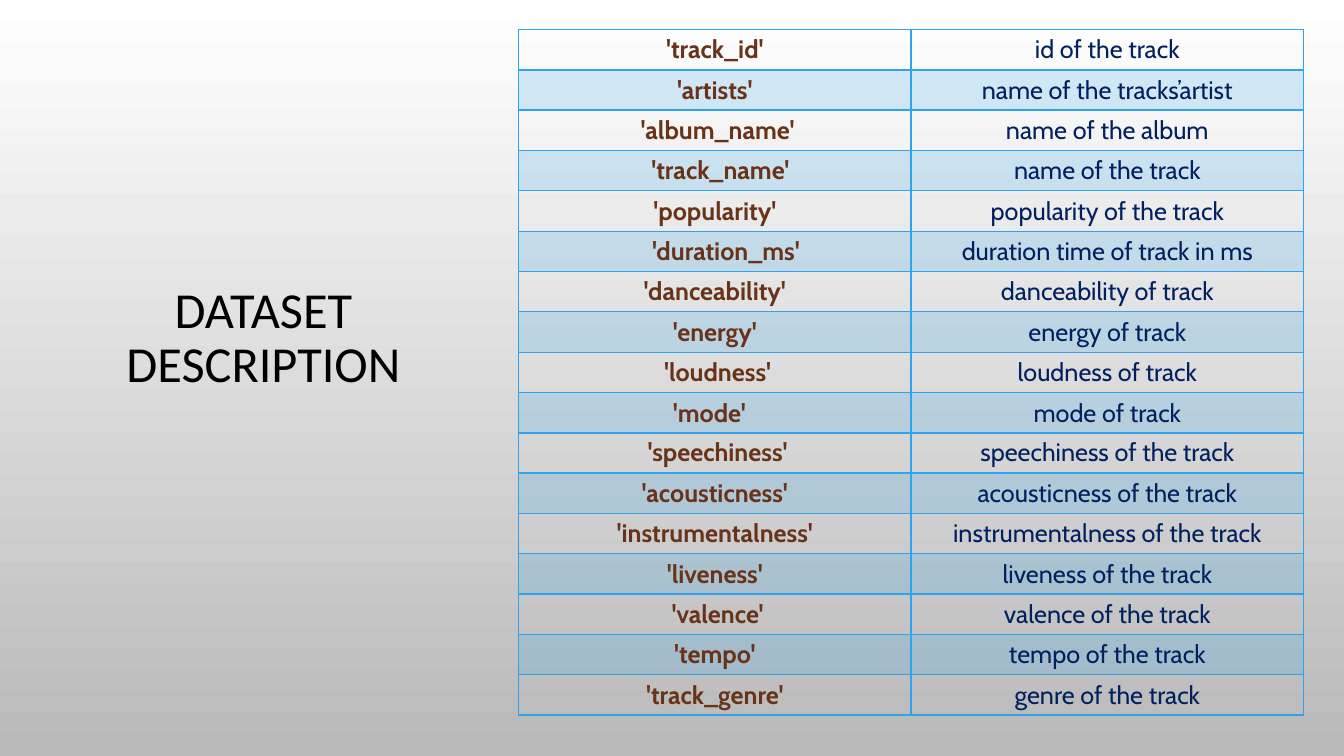
from dataclasses import dataclass

from lxml.etree import SubElement
from pptx import Presentation
from pptx.dml.color import RGBColor
from pptx.enum.text import MSO_ANCHOR, PP_ALIGN
from pptx.oxml import parse_xml
from pptx.oxml.ns import nsdecls, qn
from pptx.util import Cm, Pt


@dataclass(frozen=True)
class Theme:
    bg_top: str = "FFFFFF"
    bg_bottom: str = "B9B9B9"
    title: str = "000000"
    name: str = "683319"
    meaning: str = "002060"
    accent: str = "2FA3EE"
    band_alpha: int = 20
    title_font: str = "Calibri"
    body_font: str = "Cabin"
    title_size: int = 36
    body_size: int = 18


class SlideBuilder:
    space = 0.14
    margin = 0.25

    def __init__(self, s, theme):
        self.s = s
        self.theme = theme

    def background(self):
        fill = self.s.background.fill
        fill.gradient()
        fill.gradient_angle = 270
        colors = (self.theme.bg_top, self.theme.bg_bottom)
        for stop, color in zip(fill.gradient_stops, colors):
            stop.color.rgb = RGBColor.from_string(color)

    def set_text(self, tf, text, font, size, color, bold=False):
        tf.text = text
        p = tf.paragraphs[0]
        p.alignment = PP_ALIGN.CENTER
        for r in p.runs:
            r.font.name = font
            r.font.size = Pt(size)
            r.font.bold = bold
            r.font.color.rgb = RGBColor.from_string(color)
        return p

    def title(self, text, left, top, width, height):
        tf = self.s.shapes.add_textbox(Cm(left), Cm(top), Cm(width), Cm(height)).text_frame
        tf.word_wrap = True
        tf.vertical_anchor = MSO_ANCHOR.MIDDLE
        p = self.set_text(tf, text, self.theme.title_font, self.theme.title_size, self.theme.title)
        p.line_spacing = 0.9

    def paint(self, cell, banded):
        if not banded:
            cell.fill.background()
            return
        cell.fill.solid()
        cell.fill.fore_color.rgb = RGBColor.from_string(self.theme.accent)
        color = cell._tc.tcPr.find(".//" + qn("a:srgbClr"))
        SubElement(color, qn("a:alpha"), val=str(self.theme.band_alpha * 1000))

    def borders(self, cell, row):
        widths = {"L": 1, "R": 1, "T": 2 if row == 1 else 1, "B": 2 if row == 0 else 1}
        for i, (side, width) in enumerate(widths.items()):
            line = parse_xml(
                f'<a:ln{side} {nsdecls("a")} w="{Pt(width)}"><a:solidFill>'
                f'<a:srgbClr val="{self.theme.accent}"/></a:solidFill></a:ln{side}>'
            )
            cell._tc.tcPr.insert(i, line)

    def table(self, rows, left, top, width, row_height):
        frame = self.s.shapes.add_table(
            len(rows), 2, Cm(left), Cm(top), Cm(width), Cm(row_height * len(rows))
        )
        table = frame.table
        table.first_row = False
        table.horz_banding = False
        for i, (name, meaning, shift) in enumerate(rows):
            table.rows[i].height = Cm(row_height)
            columns = ((name, self.theme.name, True), (meaning, self.theme.meaning, False))
            for j, (text, color, bold) in enumerate(columns):
                cell = table.cell(i, j)
                self.set_text(cell.text_frame, text, self.theme.body_font,
                              self.theme.body_size, color, bold)
                self.paint(cell, i % 2 == 1)
                self.borders(cell, i)
            name_cell = table.cell(i, 0)
            name_cell.margin_left = Cm(self.margin + self.space * max(shift, 0))
            name_cell.margin_right = Cm(self.margin + self.space * max(-shift, 0))


TRACK_FIELDS = [
    ("'track_id'", "id of the track", 0),
    ("'artists'", "name of the tracks’artist", 0),
    ("'album_name'", "name of the album", 1),
    ("'track_name'", "name of the track", 2),
    ("'popularity'", "popularity of the track", 0),
    ("'duration_ms'", "duration time of track in ms", 4),
    ("'danceability'", "danceability of track", 0),
    ("'energy'", "energy of track", 0),
    ("'loudness'", "loudness of track", 1),
    ("'mode'", "mode of track", -2),
]
AUDIO_FIELDS = [
    ("'speechiness'", "speechiness of the track", 1),
    ("'acousticness'", "acousticness of the track", 0),
    ("'instrumentalness'", "instrumentalness of the track", 0),
    ("'liveness'", "liveness of the track", 0),
    ("'valence'", "valence of the track", 1),
    ("'tempo'", "tempo of the track", 0),
    ("'track_genre'", "genre of the track", 0),
]


def main():
    prs = Presentation()
    prs.slide_width, prs.slide_height = Cm(33.87), Cm(19.05)
    s = prs.slides.add_slide(prs.slide_layouts[6])
    b = SlideBuilder(s, Theme())
    b.background()
    b.title("DATASET\vDESCRIPTION", 2.46, 6.2, 8.36, 4.7)
    b.table(TRACK_FIELDS, 13.07, 0.74, 19.78, 0.94)
    b.table(AUDIO_FIELDS, 13.07, 10.9, 19.78, 1)
    prs.save("out.pptx")


if __name__ == "__main__":
    main()
